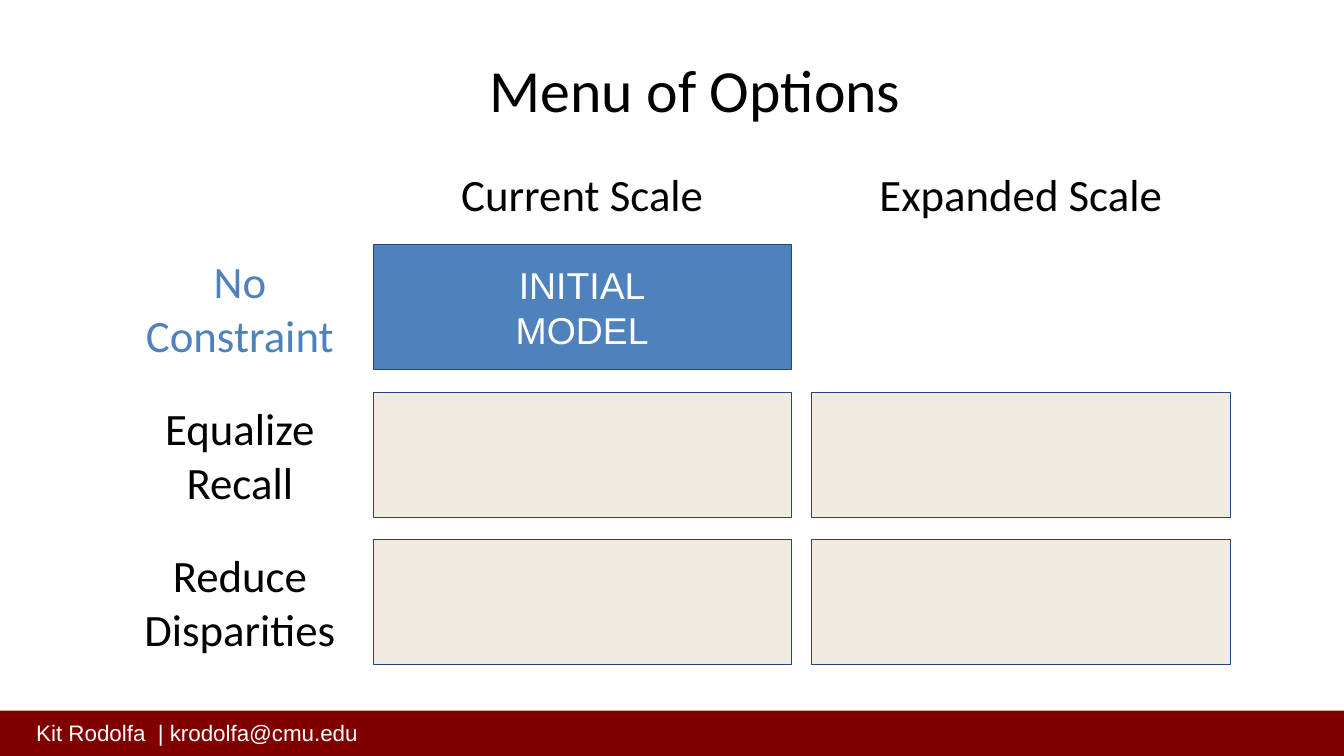
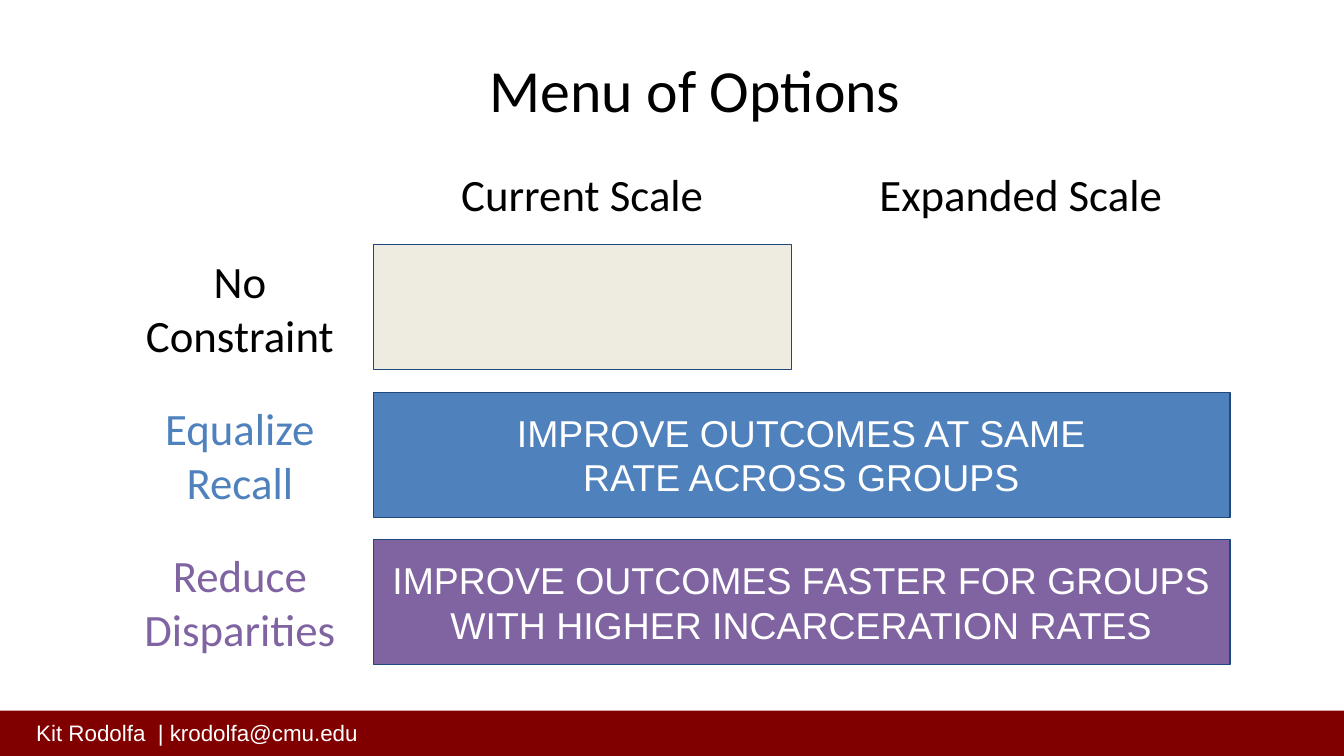
"""Build two slides that show a menu of model options as a grid."""
from dataclasses import dataclass

from pptx import Presentation
from pptx import util as u
from pptx.dml.color import RGBColor
from pptx.enum import shapes, text

COLORS = {
    "black": "000000",
    "white": "FFFFFF",
    "maroon": "800000",
    "beige": "EEECE1",
    "navy": "1F497D",
    "blue": "4F81BD",
    "purple": "8064A2",
}
SLIDE_WIDTH, SLIDE_HEIGHT = 13.33, 7.5
FOOTER_TOP = 7.05
HEADINGS = ("Current Scale", "Expanded Scale")
HEADING_TOP, HEADING_HEIGHT, HEADING_INSET = 1.63, 0.59, 0.35
LABEL_LEFT, LABEL_WIDTH = 1.06, 2.64
GRID_LEFT, GRID_TOP = 3.7, 2.43
CELL_WIDTH, CELL_HEIGHT = 4.15, 1.24
COLUMN_STEP, ROW_STEP = 4.35, 1.46


@dataclass(frozen=True)
class Area:
    left: float
    top: float
    width: float
    height: float


@dataclass(frozen=True)
class Cell:
    column: int = 0
    columns: int = 1
    lines: str = ""
    fill: str = "beige"


@dataclass(frozen=True)
class Row:
    label: str
    cells: tuple[Cell, ...]
    color: str = "black"


EMPTY_PAIR = (Cell(0), Cell(1))
MENUS = (
    (
        Row("No\nConstraint", (Cell(lines="INITIAL\nMODEL", fill="blue"),), "blue"),
        Row("Equalize\nRecall", EMPTY_PAIR),
        Row("Reduce\nDisparities", EMPTY_PAIR),
    ),
    (
        Row("No\nConstraint", (Cell(),)),
        Row(
            "Equalize\nRecall",
            (Cell(0, 2, "IMPROVE OUTCOMES AT SAME\nRATE ACROSS GROUPS", "blue"),),
            "blue",
        ),
        Row(
            "Reduce\nDisparities",
            (
                Cell(
                    0, 2,
                    "IMPROVE OUTCOMES FASTER FOR GROUPS\nWITH HIGHER INCARCERATION RATES",
                    "purple",
                ),
            ),
            "purple",
        ),
    ),
)


def rgb(name: str) -> RGBColor:
    return RGBColor.from_string(COLORS[name])


def place(area: Area) -> tuple[u.Length, ...]:
    return tuple(u.Inches(n) for n in (area.left, area.top, area.width, area.height))


def write(frame, lines: str, *, size: float = 32, font: str = "Calibri",
          color: str = "black", align=text.PP_ALIGN.CENTER,
          anchor=text.MSO_ANCHOR.MIDDLE, inset: float = 0.13) -> None:
    frame.word_wrap = True
    frame.vertical_anchor = anchor
    frame.margin_left = frame.margin_right = u.Inches(0.13)
    frame.margin_top = frame.margin_bottom = u.Inches(inset)
    for index, line in enumerate(lines.split("\n")):
        para = frame.paragraphs[0] if index == 0 else frame.add_paragraph()
        para.alignment = align
        span = para.add_run()
        span.text = line
        span.font.size = u.Pt(size)
        span.font.name = font
        span.font.color.rgb = rgb(color)


def add_text(page, area: Area, lines: str, **style) -> None:
    write(page.shapes.add_textbox(*place(area)).text_frame, lines, **style)


def add_box(page, area: Area, fill: str, line: str | None = None):
    box = page.shapes.add_shape(shapes.MSO_SHAPE.RECTANGLE, *place(area))
    box.shadow.inherit = False
    box.fill.solid()
    box.fill.fore_color.rgb = rgb(fill)
    if line:
        box.line.color.rgb = rgb(line)
        box.line.width = u.Pt(0.75)
    else:
        box.line.fill.background()
    return box


def add_frame(page) -> None:
    add_box(page, Area(0, FOOTER_TOP, SLIDE_WIDTH, SLIDE_HEIGHT - FOOTER_TOP), "maroon")
    add_text(page, Area(0.23, 7.06, 5.04, 0.4), "Kit Rodolfa  | krodolfa@cmu.edu",
             size=16, font="Arial", color="white", align=text.PP_ALIGN.LEFT,
             anchor=text.MSO_ANCHOR.TOP, inset=0.07)
    add_text(page, Area(0.5, 0.39, 12.79, 1.11), "Menu of Options",
             size=42.7, anchor=text.MSO_ANCHOR.TOP)


def add_headings(page) -> None:
    for column, heading in enumerate(HEADINGS):
        left = GRID_LEFT + column * COLUMN_STEP + HEADING_INSET
        width = CELL_WIDTH - 2 * HEADING_INSET
        add_text(page, Area(left, HEADING_TOP, width, HEADING_HEIGHT), heading)


def add_row(page, row: Row, top: float) -> None:
    add_text(page, Area(LABEL_LEFT, top, LABEL_WIDTH, CELL_HEIGHT), row.label,
             color=row.color)
    for cell in row.cells:
        left = GRID_LEFT + cell.column * COLUMN_STEP
        width = CELL_WIDTH + (cell.columns - 1) * COLUMN_STEP
        box = add_box(page, Area(left, top, width, CELL_HEIGHT), cell.fill, "navy")
        if cell.lines:
            write(box.text_frame, cell.lines, size=26.7, font="Arial", color="white")


def main() -> None:
    deck = Presentation()
    deck.slide_width = u.Inches(SLIDE_WIDTH)
    deck.slide_height = u.Inches(SLIDE_HEIGHT)
    for menu in MENUS:
        page = deck.slides.add_slide(deck.slide_layouts[6])
        add_frame(page)
        add_headings(page)
        for index, row in enumerate(menu):
            add_row(page, row, GRID_TOP + index * ROW_STEP)
    deck.save("out.pptx")


if __name__ == "__main__":
    main()
